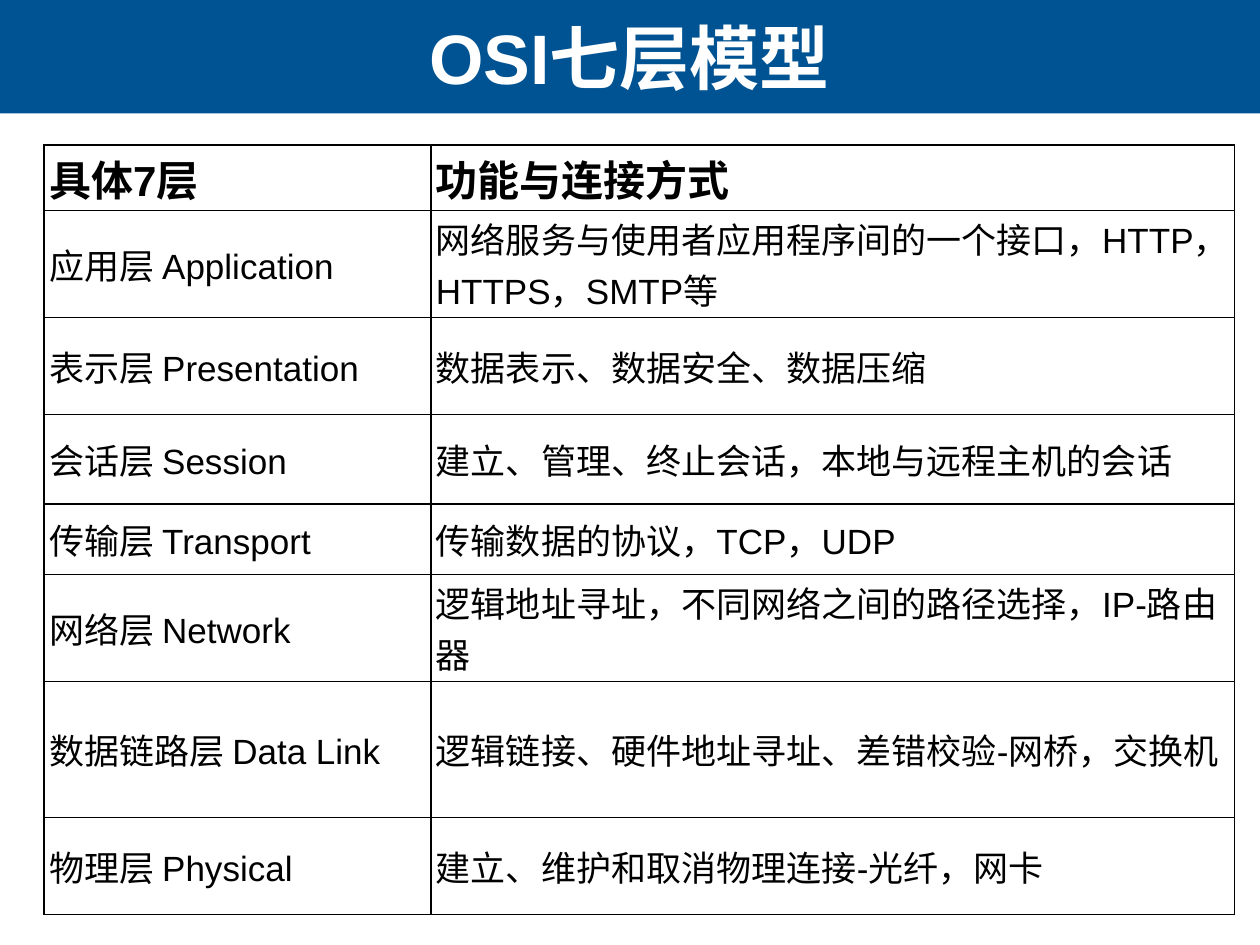
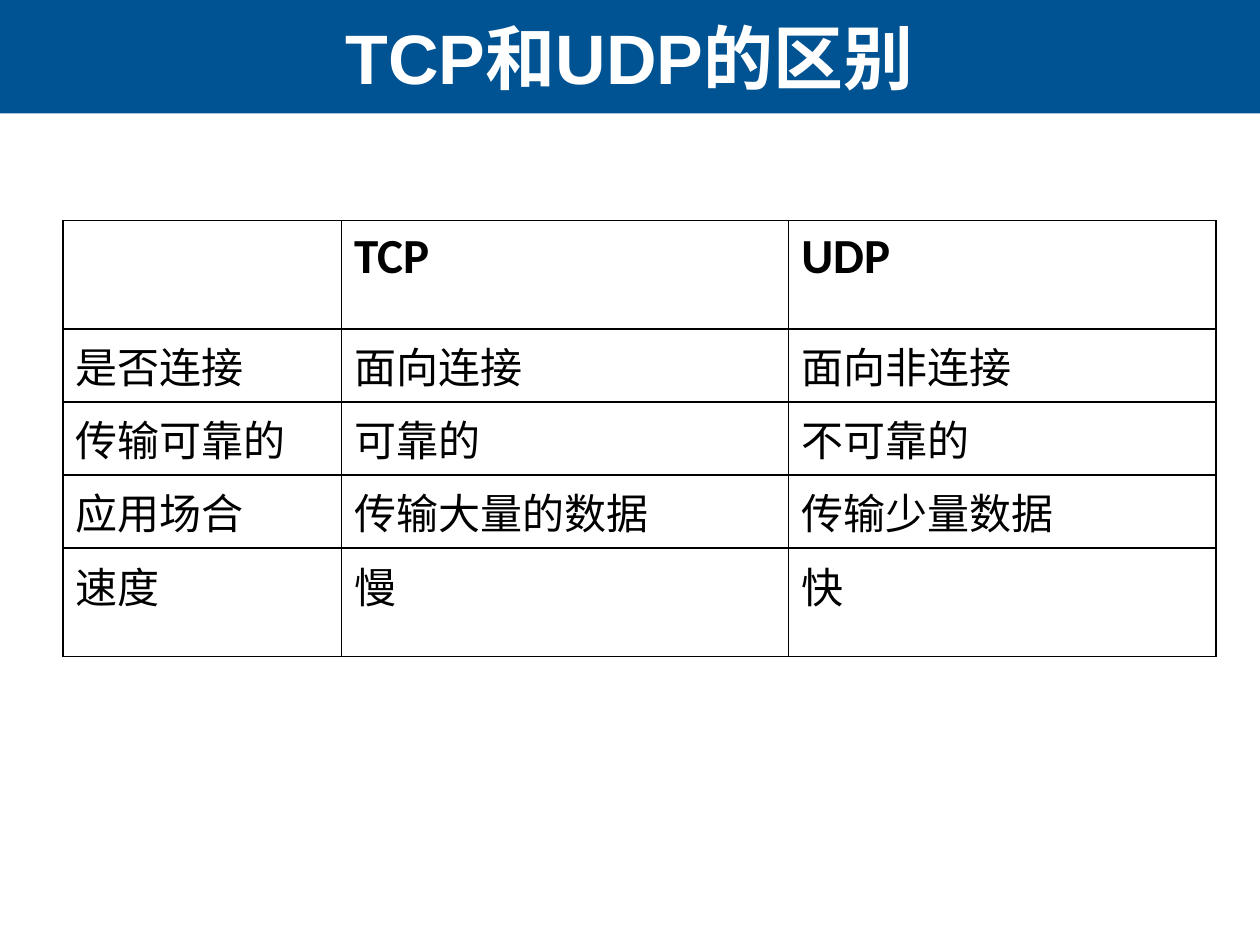
from lxml.etree import SubElement
from pptx import Presentation
from pptx.dml.color import RGBColor
from pptx.enum.shapes import MSO_SHAPE as Shape
from pptx.enum.text import MSO_ANCHOR as Anchor, PP_ALIGN as Align
from pptx.oxml.ns import qn
from pptx.util import Inches, Pt

BLUE = RGBColor(0x00, 0x53, 0x92)
WHITE = RGBColor(0xFF, 0xFF, 0xFF)
BLACK = RGBColor(0x00, 0x00, 0x00)

WIDTH, HEIGHT = 10, 7.5
BAND_HEIGHT = 0.12 * HEIGHT
TITLE_LEFT = -0.01
BORDER_WIDTH = Pt(1)

SLIDES = [
    {
        "title": "OSI七层模型",
        "corner": (0.35, 1.15),
        "columns": (3.07, 6.38),
        "rows": (0.52, 0.85, 0.77, 0.71, 0.56, 0.85, 1.08, 0.77),
        "cells": [
            ("具体7层", "功能与连接方式"),
            ("应用层 Application", "网络服务与使用者应用程序间的一个接口，HTTP，HTTPS，SMTP等"),
            ("表示层 Presentation", "数据表示、数据安全、数据压缩"),
            ("会话层 Session", "建立、管理、终止会话，本地与远程主机的会话"),
            ("传输层 Transport", "传输数据的协议，TCP，UDP"),
            ("网络层 Network", "逻辑地址寻址，不同网络之间的路径选择，IP-路由器"),
            ("数据链路层 Data Link", "逻辑链接、硬件地址寻址、差错校验-网桥，交换机"),
            ("物理层 Physical", "建立、维护和取消物理连接-光纤，网卡"),
        ],
        "font": "Arial",
        "sizes": (24, 20),
        "anchor": Anchor.MIDDLE,
        "insets": (0.04, 0.02),
        "fill": None,
    },
    {
        "title": "TCP和UDP的区别",
        "corner": (0.5, 1.75),
        "columns": (2.21, 3.55, 3.39),
        "rows": (0.86, 0.58, 0.58, 0.58, 0.86),
        "cells": [
            ("", "TCP", "UDP"),
            ("是否连接", "面向连接", "面向非连接"),
            ("传输可靠的", "可靠的", "不可靠的"),
            ("应用场合", "传输大量的数据", "传输少量数据"),
            ("速度", "慢", "快"),
        ],
        "font": "Calibri",
        "sizes": (28, 24),
        "anchor": Anchor.TOP,
        "insets": (0.1, 0.05),
        "fill": WHITE,
    },
]


def write(para, text, color, **font):
    span = para.add_run()
    span.text = text
    span.font.color.rgb = color
    for name, value in font.items():
        setattr(span.font, name, value)


def add_title(page, text):
    band = page.shapes.add_shape(
        Shape.RECTANGLE, 0, 0, Inches(WIDTH), Inches(BAND_HEIGHT))
    band.shadow.inherit = False
    band.fill.solid()
    band.fill.fore_color.rgb = BLUE
    band.line.fill.background()

    box = page.shapes.add_textbox(
        Inches(TITLE_LEFT), 0, Inches(WIDTH - TITLE_LEFT), Inches(BAND_HEIGHT))
    box.text_frame.word_wrap = True
    box.text_frame.vertical_anchor = Anchor.MIDDLE
    para = box.text_frame.paragraphs[0]
    para.alignment = Align.CENTER
    write(para, text, WHITE, name="Arial", size=Pt(40), bold=True)


def add_borders(cell):
    properties = cell._tc.get_or_add_tcPr()
    for side in "LRTB":
        line = SubElement(properties, qn(f"a:ln{side}"), w=str(BORDER_WIDTH))
        solid = SubElement(line, qn("a:solidFill"))
        SubElement(solid, qn("a:srgbClr"), val=str(BLACK))


def format_cell(cell, content):
    add_borders(cell)
    if content["fill"] is None:
        cell.fill.background()
    else:
        cell.fill.solid()
        cell.fill.fore_color.rgb = content["fill"]
    across, down = map(Inches, content["insets"])
    layout = {
        "vertical_anchor": content["anchor"],
        "margin_left": across, "margin_right": across,
        "margin_top": down, "margin_bottom": down,
    }
    for name, value in layout.items():
        setattr(cell, name, value)


def add_grid(page, content):
    columns, rows = content["columns"], content["rows"]
    left, top = content["corner"]
    table = page.shapes.add_table(
        len(rows), len(columns), Inches(left), Inches(top),
        Inches(sum(columns)), Inches(sum(rows))).table
    table.first_row = table.horz_banding = False
    for column, width in zip(table.columns, columns):
        column.width = Inches(width)
    for row, height in zip(table.rows, rows):
        row.height = Inches(height)

    header_size, body_size = content["sizes"]
    for row_number, texts in enumerate(content["cells"]):
        header = row_number == 0
        size = Pt(header_size if header else body_size)
        for column_number, text in enumerate(texts):
            cell = table.cell(row_number, column_number)
            format_cell(cell, content)
            if text:
                write(cell.text_frame.paragraphs[0], text, BLACK,
                      name=content["font"], size=size, bold=header)


def main():
    deck = Presentation()
    deck.slide_width, deck.slide_height = Inches(WIDTH), Inches(HEIGHT)
    for content in SLIDES:
        page = deck.slides.add_slide(deck.slide_layouts[6])
        page.background.fill.solid()
        page.background.fill.fore_color.rgb = WHITE
        add_title(page, content["title"])
        add_grid(page, content)
    deck.save("out.pptx")


if __name__ == "__main__":
    main()
